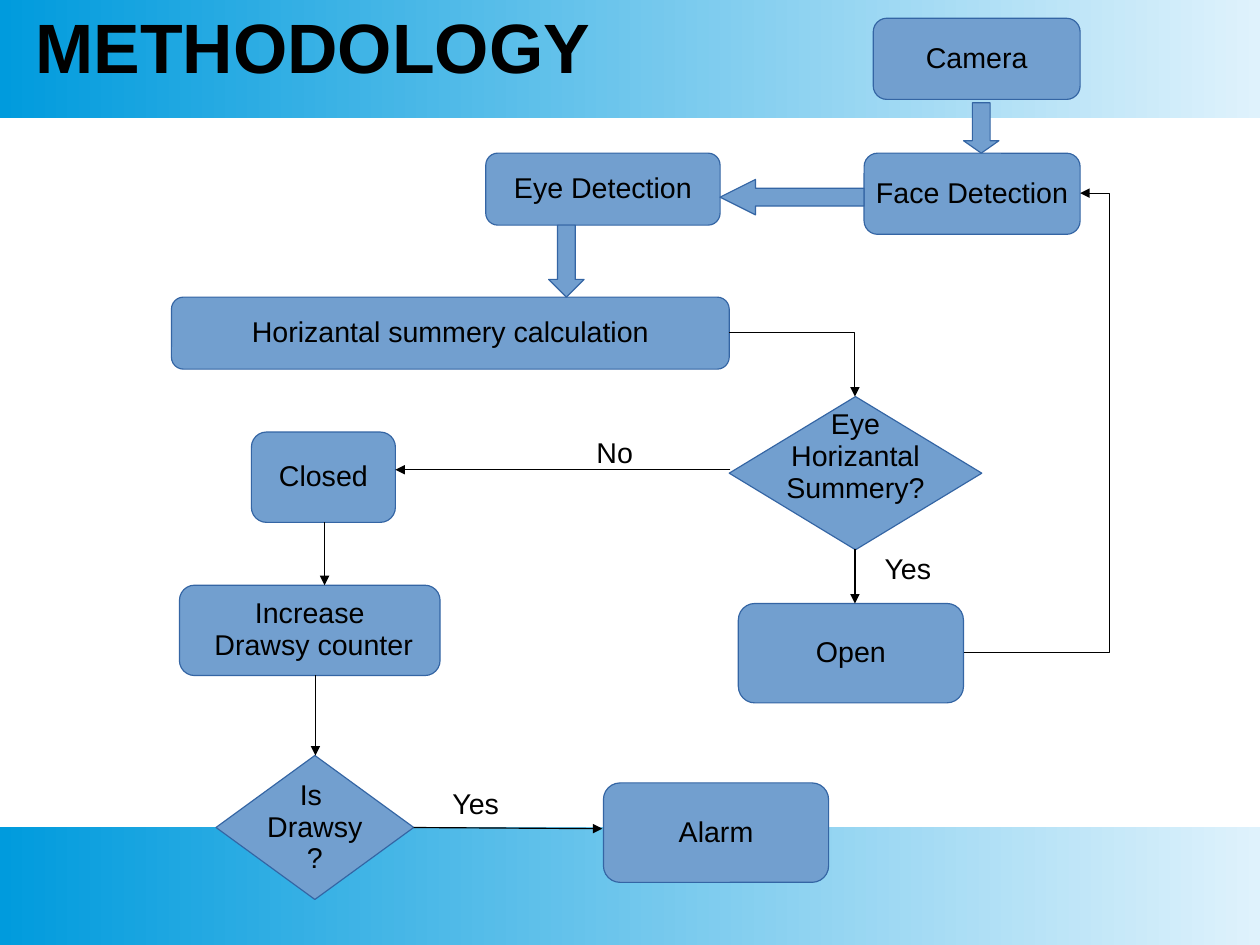
from dataclasses import dataclass

from lxml import etree
from pptx import Presentation
from pptx.dml.color import RGBColor
from pptx.enum import shapes, text
from pptx.oxml import ns
from pptx.util import Cm, Inches, Pt

BAND_DARK = RGBColor(0x00, 0x9B, 0xDD)
BAND_LIGHT = RGBColor(0xDF, 0xF2, 0xFC)
STEP_FILL = RGBColor(0x72, 0x9F, 0xCF)
STEP_LINE = RGBColor(0x34, 0x65, 0xA4)
BLACK = RGBColor(0, 0, 0)

ROUNDED = shapes.MSO_SHAPE.ROUNDED_RECTANGLE
DIAMOND = shapes.MSO_SHAPE.DIAMOND
DOWN = shapes.MSO_SHAPE.DOWN_ARROW
LEFT = shapes.MSO_SHAPE.LEFT_ARROW
SLIDE_W, SLIDE_H = Cm(28), Cm(21)  # metric 4:3 page
BAND_H = Inches(1.03)


@dataclass(frozen=True)
class Step:
    kind: shapes.MSO_SHAPE
    box: tuple[float, float, float, float]
    label: str = ""
    adjust: tuple[float, ...] = ()
    bottom_inset: float = 0.05


@dataclass(frozen=True)
class Flow:
    start: tuple[float, float]
    end: tuple[float, float]
    preset: str = "line"
    bend: float | None = None


@dataclass(frozen=True)
class Answer:
    label: str
    box: tuple[float, float, float, float]


STEPS = [
    Step(ROUNDED, (7.64, 0.16, 1.81, 0.71), "Camera"),
    Step(ROUNDED, (7.56, 1.34, 1.89, 0.71), "Face Detection"),
    Step(ROUNDED, (4.25, 1.34, 2.05, 0.63), "Eye Detection"),
    Step(DIAMOND, (6.38, 3.47, 2.21, 1.34), "Eye\nHorizantal\nSummery?", bottom_inset=0.33),
    Step(ROUNDED, (1.5, 2.6, 4.88, 0.63), "Horizantal summery calculation"),
    Step(ROUNDED, (2.2, 3.78, 1.26, 0.79), "Closed"),
    Step(ROUNDED, (1.57, 5.12, 2.28, 0.79), "Increase\n Drawsy counter"),
    Step(ROUNDED, (5.28, 6.85, 1.97, 0.87), "Alarm"),
    Step(ROUNDED, (6.46, 5.28, 1.97, 0.87), "Open"),
    Step(DIAMOND, (1.89, 6.61, 1.73, 1.26), "Is \nDrawsy\n?"),
    Step(DOWN, (8.43, 0.9, 0.31, 0.44), adjust=(0.5, 0.35)),
    Step(DOWN, (4.8, 1.97, 0.31, 0.63), adjust=(0.5, 0.5)),
    Step(LEFT, (6.3, 1.57, 1.26, 0.31), adjust=(0.5, 1)),
]
FLOWS = [
    Flow((6.38, 2.91), (7.48, 3.47), "bentConnector2"),
    Flow((6.39, 4.11), (3.46, 4.11)),
    Flow((7.48, 4.8), (7.48, 5.28)),
    Flow((2.84, 4.57), (2.84, 5.12)),
    Flow((2.76, 5.91), (2.76, 6.61)),
    Flow((3.62, 7.24), (5.27, 7.25)),
    Flow((8.43, 5.71), (9.45, 1.69), "bentConnector3", bend=1.25),
]
ANSWERS = [
    Answer("Yes", (3.86, 6.85, 0.71, 0.66)),
    Answer("Yes", (7.64, 4.8, 0.71, 0.66)),
    Answer("No", (5.12, 3.78, 1.1, 0.38)),
]


def write(frame, wording: str, *, size=18, bold=False, align=text.PP_ALIGN.LEFT,
          anchor=text.MSO_ANCHOR.TOP, wrap=True, insets=(0.1, 0.05, 0.1, 0.05)) -> None:
    frame.text = wording
    frame.word_wrap = wrap
    frame.auto_size = text.MSO_AUTO_SIZE.NONE
    frame.vertical_anchor = anchor
    (frame.margin_left, frame.margin_top,
     frame.margin_right, frame.margin_bottom) = map(Inches, insets)
    for line in frame.paragraphs:
        line.alignment = align
        line.line_spacing = 0.93
        line.space_before = Pt(0)
        line.font.name = "Arial"
        line.font.size = Pt(size)
        line.font.bold = bold
        line.font.color.rgb = BLACK


def draw_band(slide, top: int) -> None:
    band = slide.shapes.add_shape(shapes.MSO_SHAPE.RECTANGLE, 0, top, SLIDE_W, BAND_H)
    band.shadow.inherit = False
    band.line.fill.background()
    band.fill.gradient()
    band.fill.gradient_angle = 0
    for stop, color in zip(band.fill.gradient_stops, (BAND_DARK, BAND_LIGHT)):
        stop.color.rgb = color


def draw_step(slide, step: Step) -> None:
    node = slide.shapes.add_shape(step.kind, *map(Inches, step.box))
    node.shadow.inherit = False
    node.fill.solid()
    node.fill.fore_color.rgb = STEP_FILL
    node.line.color.rgb = STEP_LINE
    node.line.width = Pt(0.75)
    for index, value in enumerate(step.adjust):
        node.adjustments[index] = value
    if step.label:
        write(node.text_frame, step.label, align=text.PP_ALIGN.CENTER,
              anchor=text.MSO_ANCHOR.MIDDLE, wrap=False,
              insets=(0.1, 0.05, 0.1, step.bottom_inset))


def draw_flow(slide, flow: Flow) -> None:
    arrow = slide.shapes.add_connector(shapes.MSO_CONNECTOR.STRAIGHT,
                                       *map(Inches, flow.start + flow.end))
    arrow.line.color.rgb = BLACK
    arrow.line.width = Pt(0.75)
    properties = arrow._element.spPr
    geometry = properties.find(ns.qn("a:prstGeom"))
    geometry.set("prst", flow.preset)
    if flow.bend is not None:
        etree.SubElement(geometry.find(ns.qn("a:avLst")), ns.qn("a:gd"),
                         name="adj1", fmla=f"val {round(flow.bend * 100000)}")
    etree.SubElement(properties.find(ns.qn("a:ln")), ns.qn("a:tailEnd"), type="triangle")
    etree.SubElement(properties, ns.qn("a:effectLst"))


def main() -> None:
    deck = Presentation()
    deck.slide_width, deck.slide_height = SLIDE_W, SLIDE_H
    slide = deck.slides.add_slide(deck.slide_layouts[5])

    # Background bands, with the title in front of them
    for top in (0, SLIDE_H - BAND_H):
        draw_band(slide, top)
    heading = slide.shapes.title
    slide.shapes._spTree.append(heading._element)
    heading.left, heading.top, heading.width, heading.height = map(
        Inches, (0.31, 0.1, 10.15, 0.68))
    write(heading.text_frame, "METHODOLOGY", size=44, bold=True,
          anchor=text.MSO_ANCHOR.MIDDLE, insets=(0, 0, 0, 0))

    # Flowchart
    for step in STEPS:
        draw_step(slide, step)
    for flow in FLOWS:
        draw_flow(slide, flow)
    for answer in ANSWERS:
        label = slide.shapes.add_textbox(*map(Inches, answer.box))
        write(label.text_frame, answer.label)

    deck.save("out.pptx")


if __name__ == "__main__":
    main()
